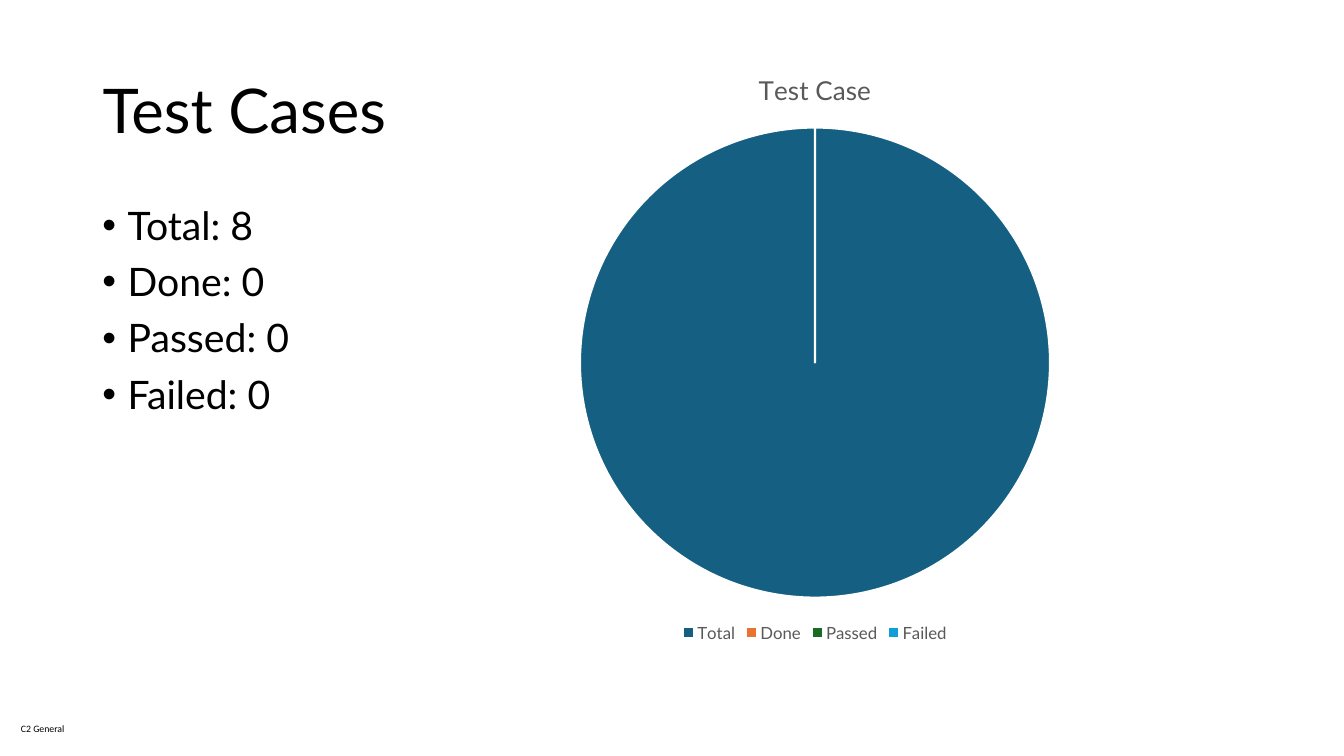
from dataclasses import dataclass

from lxml import etree
from pptx import Presentation
from pptx.chart.data import CategoryChartData
from pptx.dml.color import RGBColor
from pptx.enum.chart import XL_CHART_TYPE, XL_LEGEND_POSITION
from pptx.enum.text import MSO_ANCHOR, PP_ALIGN
from pptx.oxml.ns import qn
from pptx.util import Cm, Pt

PIE = XL_CHART_TYPE.PIE
LEGEND_BOTTOM = XL_LEGEND_POSITION.BOTTOM
MIDDLE = MSO_ANCHOR.MIDDLE
TOP = MSO_ANCHOR.TOP
LEFT = PP_ALIGN.LEFT
TITLE_ONLY = 5


@dataclass(frozen=True)
class Theme:
    """Fonts, colours and type sizes of the slide."""
    font: str = "Lato"
    label_font: str = "Calibri"
    text: str = "000000"
    muted: str = "595959"
    background: str = "FFFFFF"
    slices: tuple = ("156082", "E97132", "196B24", "0F9ED5")
    title_size: float = 44
    body_size: float = 28
    chart_title_size: float = 18.6
    legend_size: float = 12
    chart_size: float = 10
    label_size: float = 7


THEME = Theme()
COUNTS = {"Total": 8, "Done": 0, "Passed": 0, "Failed": 0}
SHARES = (100, 0, 0, 0)


def style_font(font, size, color=THEME.text, name=THEME.font):
    """Set the face, size and colour of a font."""
    font.name = name
    font.size = Pt(size)
    font.bold = False
    font.color.rgb = RGBColor.from_string(color)


def add_run(paragraph, text, size, **style):
    """Add one styled run to a paragraph."""
    paragraph.alignment = LEFT
    run = paragraph.add_run()
    run.text = text
    style_font(run.font, size, **style)


def place(shape, left, top, width, height):
    """Move and size a shape, in centimetres."""
    shape.left, shape.top = Cm(left), Cm(top)
    shape.width, shape.height = Cm(width), Cm(height)


def add_title(slide, text):
    """Fill the title placeholder."""
    title = slide.shapes.title
    place(title, 2.33, 1.01, 29.21, 3.68)
    title.text_frame.vertical_anchor = MIDDLE
    paragraph = title.text_frame.paragraphs[0]
    paragraph.line_spacing = 0.9
    add_run(paragraph, text, THEME.title_size)


def set_bullet(paragraph):
    """Give a paragraph a hanging round bullet."""
    properties = paragraph._p.get_or_add_pPr()
    properties.set("marL", str(Cm(0.64)))
    properties.set("indent", str(-Cm(0.64)))
    font = etree.SubElement(properties, qn("a:buFont"))
    font.set("typeface", "Arial")
    bullet = etree.SubElement(properties, qn("a:buChar"))
    bullet.set("char", "•")


def add_bullets(slide, lines):
    """Add a bulleted list, one paragraph a line."""
    box = slide.shapes.add_textbox(Cm(2.33), Cm(5.07), Cm(29.21), Cm(9.91))
    frame = box.text_frame
    frame.word_wrap = True
    frame.vertical_anchor = TOP
    for index, line in enumerate(lines):
        paragraph = frame.add_paragraph() if index else frame.paragraphs[0]
        paragraph.line_spacing = 0.9
        paragraph.space_before = Pt(10)
        set_bullet(paragraph)
        add_run(paragraph, line, THEME.body_size)


def add_label(slide, text):
    """Add the small classification label at the foot."""
    box = slide.shapes.add_textbox(Cm(0.53), Cm(18.21), Cm(1.17), Cm(0.3))
    frame = box.text_frame
    frame.margin_left = frame.margin_right = 0
    frame.margin_top = frame.margin_bottom = 0
    frame.word_wrap = False
    add_run(frame.paragraphs[0], text, THEME.label_size, name=THEME.label_font)


def add_pie(slide, title, categories, values):
    """Add a pie chart with a title and a legend below."""
    data = CategoryChartData()
    data.categories = categories
    data.add_series("Series 1", values)
    chart = slide.shapes.add_chart(
        PIE, Cm(9.25), Cm(1.24), Cm(22.58), Cm(15.06), data).chart
    style_font(chart.font, THEME.chart_size)
    chart.has_title = True
    add_run(chart.chart_title.text_frame.paragraphs[0], title,
            THEME.chart_title_size, color=THEME.muted)
    chart.chart_title.include_in_layout = False
    chart.has_legend = True
    chart.legend.position = LEGEND_BOTTOM
    chart.legend.include_in_layout = False
    style_font(chart.legend.font, THEME.legend_size, color=THEME.muted)
    plot = chart.plots[0]
    plot.vary_by_categories = True
    for index, color in enumerate(THEME.slices):
        point_format = plot.series[0].points[index].format
        point_format.fill.solid()
        point_format.fill.fore_color.rgb = RGBColor.from_string(color)
        point_format.line.color.rgb = RGBColor.from_string(THEME.background)
        point_format.line.width = Pt(1.5)


def main():
    """Build the slide and save it."""
    presentation = Presentation()
    presentation.slide_width, presentation.slide_height = Cm(33.87), Cm(19.05)
    layout = presentation.slide_layouts[TITLE_ONLY]
    slide = presentation.slides.add_slide(layout)
    add_label(slide, "C2 General")
    add_title(slide, "Test Cases")
    add_bullets(slide, [f"{name}: {count}" for name, count in COUNTS.items()])
    add_pie(slide, "Test Case", list(COUNTS), SHARES)
    presentation.save("out.pptx")


if __name__ == "__main__":
    main()
